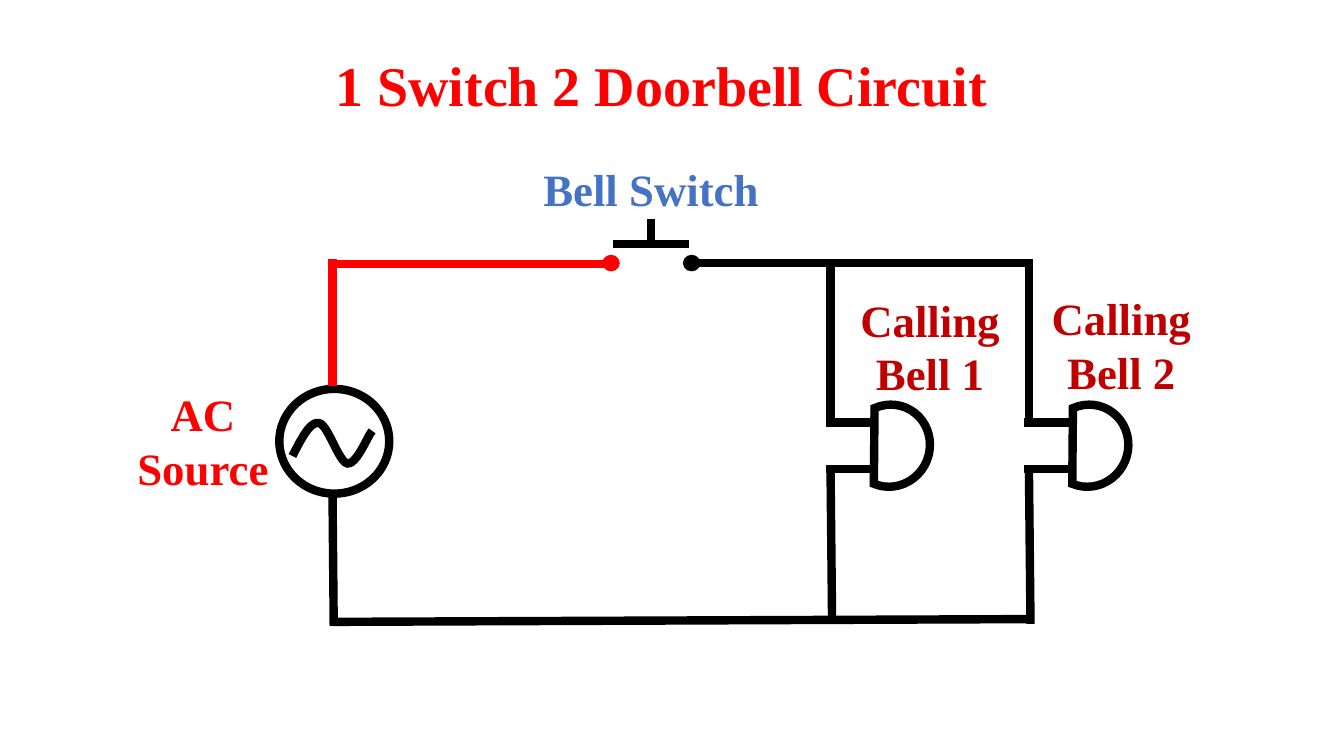
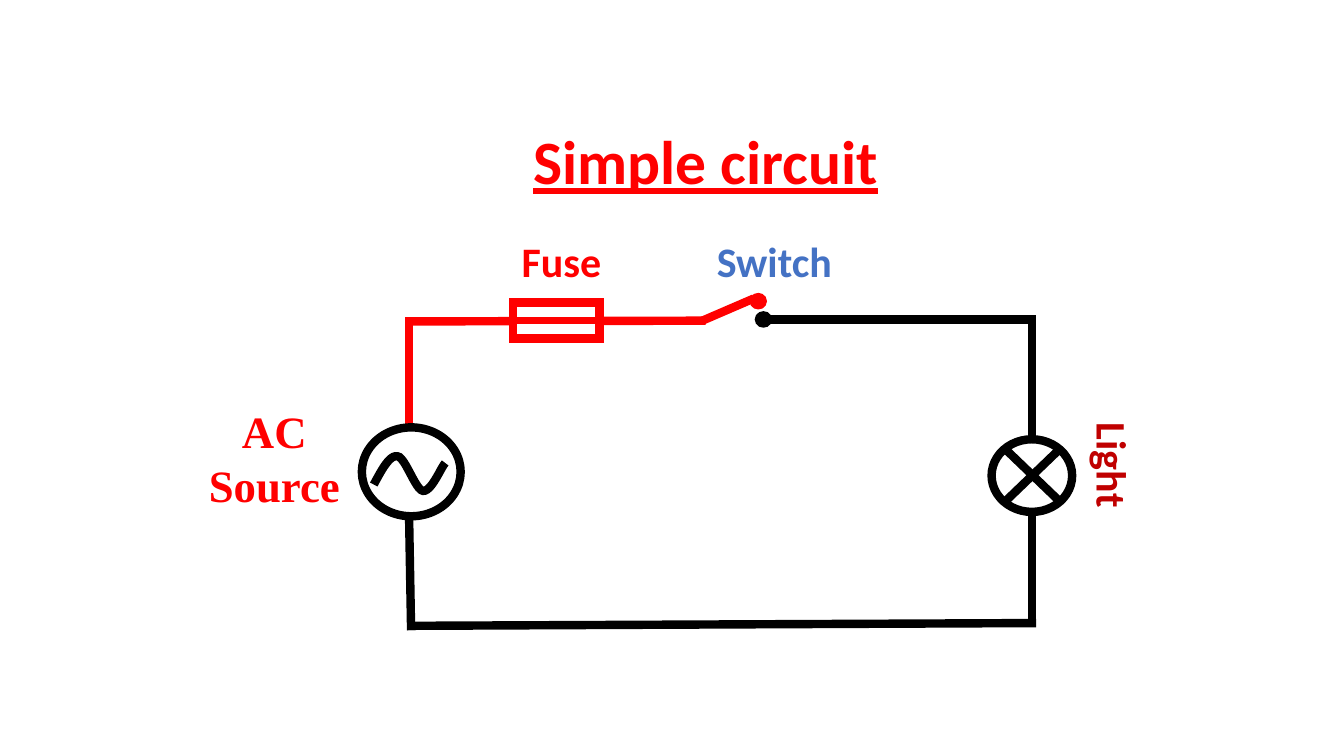
from dataclasses import dataclass
from typing import Any

from lxml import etree
from pptx import Presentation
from pptx import util as u
from pptx.dml import color
from pptx.enum import shapes, text
from pptx.oxml import ns

RED, BLACK, WHITE, BLUE, DARK = "FF0000", "000000", "FFFFFF", "4472C4", "C00000"
SERIF, SANS = "Times New Roman", "Calibri"
KIND = shapes.MSO_SHAPE
WAVE = [(0, 0.82), (0.11, 0.41), (0.22, -0.02), (0.33, 0.02), (0.44, 0.03),
        (0.58, 0.97), (0.69, 1), (0.81, 1.02), (0.94, 0.34), (1, 0.21)]
STEPS = 12


@dataclass
class Wire:
    x1: float
    y1: float
    x2: float
    y2: float
    ink: str = BLACK
    width: float = 6


@dataclass
class Part:
    kind: Any
    x: float
    y: float
    w: float
    h: float
    ink: str = BLACK
    fill: str = WHITE
    turn: float = 0


@dataclass
class Curve:
    x: float
    y: float
    w: float
    h: float


@dataclass
class Label:
    words: str
    x: float
    y: float
    w: float
    h: float
    ink: str
    face: str = SERIF
    size: float = 32
    turn: float = 0
    under: bool = False


def tint(code: str) -> color.RGBColor:
    return color.RGBColor.from_string(code)


def put(target: Any, values: dict[str, Any]) -> None:
    for key, value in values.items():
        setattr(target, key, value)


def stroke(shape: Any, ink: str, width: float) -> None:
    shape.line.color.rgb = tint(ink)
    shape.line.width = u.Pt(width)
    props = shape._element.spPr
    etree.SubElement(props.find(ns.qn("a:ln")), ns.qn("a:miter"), lim="800000")
    etree.SubElement(props, ns.qn("a:effectLst"))


def draw_wire(slide: Any, wire: Wire) -> None:
    ends = [u.Cm(v) for v in (wire.x1, wire.y1, wire.x2, wire.y2)]
    line = slide.shapes.add_connector(shapes.MSO_CONNECTOR.STRAIGHT, *ends)
    stroke(line, wire.ink, wire.width)


def draw_part(slide: Any, part: Part) -> None:
    box = [u.Cm(v) for v in (part.x, part.y, part.w, part.h)]
    shape = slide.shapes.add_shape(part.kind, *box)
    shape.rotation = part.turn
    shape.fill.solid()
    shape.fill.fore_color.rgb = tint(part.fill)
    stroke(shape, part.ink, 6)


def draw_curve(slide: Any, curve: Curve) -> None:
    knots = [(u.Cm(curve.x + a * curve.w), u.Cm(curve.y + b * curve.h)) for a, b in WAVE]
    points = []
    for start in range(0, len(knots) - 1, 3):
        quad = knots[start:start + 4]
        for step in range(1, STEPS + 1):
            t = step / STEPS
            mix = ((1 - t) ** 3, 3 * t * (1 - t) ** 2, 3 * t * t * (1 - t), t ** 3)
            points.append(tuple(sum(m * p[axis] for m, p in zip(mix, quad)) for axis in (0, 1)))
    maker = slide.shapes.build_freeform(*knots[0])
    maker.add_line_segments(points, close=False)
    shape = maker.convert_to_shape()
    shape.fill.background()
    stroke(shape, BLACK, 6)


def write(box: Any, label: Label) -> None:
    put(box, {"left": u.Cm(label.x), "top": u.Cm(label.y), "width": u.Cm(label.w),
              "height": u.Cm(label.h), "rotation": label.turn})
    frame = box.text_frame
    frame.text = label.words
    put(frame, {"word_wrap": True, "vertical_anchor": text.MSO_ANCHOR.TOP})
    for para in frame.paragraphs:
        para.alignment = text.PP_ALIGN.CENTER
        put(para.font, {"name": label.face, "size": u.Pt(label.size), "bold": True,
                        "underline": label.under})
        para.font.color.rgb = tint(label.ink)


def draw_label(slide: Any, label: Label) -> None:
    box = slide.shapes.add_textbox(0, 0, u.Cm(1), u.Cm(1))
    write(box, label)
    box.text_frame.auto_size = text.MSO_AUTO_SIZE.SHAPE_TO_FIT_TEXT


DRAW = {Wire: draw_wire, Part: draw_part, Curve: draw_curve, Label: draw_label}


def dot(x: float, y: float, ink: str) -> Part:
    return Part(KIND.OVAL, x, y, 0.22, 0.2, ink, ink)


def bell(x: float) -> list[Any]:
    top, low = 10.65, 11.82
    return [
        Wire(x, 6.53, x, 10.59),
        Wire(x, low, x + 0.04, 15.72),
        Wire(x + 1.1, top, x - 0.12, top),
        Part(KIND.CHORD, x + 0.49, 10.19, 2.01, 2.08, turn=202.8),
        Wire(x + 1.1, low, x - 0.12, low),
    ]


def door() -> list[Any]:
    return [
        Wire(15.44, 6.15, 17.37, 6.15),
        dot(15.29, 6.53, RED),
        dot(17.32, 6.53, BLACK),
        Wire(16.41, 6.1, 16.41, 5.51),
        Wire(8.38, 6.65, 15.21, 6.65, RED),
        Part(KIND.OVAL, 7.04, 9.8, 2.77, 2.64),
        Curve(7.37, 10.64, 2.01, 1.04),
        Wire(8.38, 6.53, 8.38, 9.73, RED),
        Wire(17.55, 6.63, 26.01, 6.63),
        Wire(8.38, 12.5, 8.41, 15.77),
        Wire(8.38, 15.67, 26.01, 15.6),
        *bell(25.93),
        *bell(20.93),
        Label("Bell Switch", 12.88, 3.96, 7.06, 1.63, BLUE),
        Label("AC Source", 3.02, 9.63, 4.19, 3, RED),
        Label("Calling\nBell 1", 21.41, 7.24, 4.06, 3, DARK),
        Label("Calling\nBell 2", 26.09, 7.21, 4.34, 3, DARK),
    ]


def lamp() -> list[Any]:
    return [
        Wire(10.31, 8, 10.31, 10.69, RED),
        Part(KIND.OVAL, 9.12, 10.77, 2.49, 2.24),
        Curve(9.42, 11.48, 1.8, 0.89),
        Wire(17.7, 8.08, 19, 7.52, RED),
        dot(19, 7.49, RED),
        dot(19.13, 7.95, BLACK),
        Wire(19.33, 8.05, 26.11, 8.05),
        Wire(10.31, 13.06, 10.36, 15.88),
        Wire(10.26, 15.77, 26.11, 15.7),
        Wire(26.01, 12.9, 26.01, 15.8),
        Wire(26.01, 7.98, 26.01, 11.07),
        Part(KIND.OVAL, 24.99, 11.07, 2.03, 1.83),
        Wire(25.37, 11.35, 26.67, 12.6),
        Wire(25.37, 12.6, 26.67, 11.35),
        Wire(10.26, 8.1, 17.78, 8.08, RED),
        Part(KIND.RECTANGLE, 12.93, 7.62, 2.18, 0.91, RED),
        Wire(12.93, 8.08, 15.11, 8.08, RED, 4.5),
        Label("AC Source", 4.78, 10.06, 4.27, 3, RED),
        Label("Light", 26.39, 10.95, 3.3, 1.55, DARK, SANS, 30, turn=90),
        Label("Fuse", 12.5, 5.82, 3.3, 1.55, RED, SANS, 30),
        Label("Switch", 17.42, 5.82, 4.19, 1.55, BLUE, SANS, 30),
    ]


def add_page(deck: Any, head: Label, items: list[Any]) -> None:
    slide = deck.slides.add_slide(deck.slide_layouts[5])
    title = slide.shapes.title
    write(title, head)
    title.text_frame.auto_size = text.MSO_AUTO_SIZE.NONE
    title.text_frame.paragraphs[0].line_spacing = 0.9
    for item in items:
        DRAW[type(item)](slide, item)


def main() -> None:
    deck = Presentation()
    put(deck, {"slide_width": u.Cm(33.87), "slide_height": u.Cm(19.05)})
    add_page(deck, Label("1 Switch 2 Doorbell Circuit", 5.36, 1.35, 22.61, 2.06, RED, size=40),
             door())
    add_page(deck, Label("Simple circuit", 6.48, 3.18, 22.61, 2.06, RED, SANS, 44, under=True),
             lamp())
    deck.save("out.pptx")


if __name__ == "__main__":
    main()
